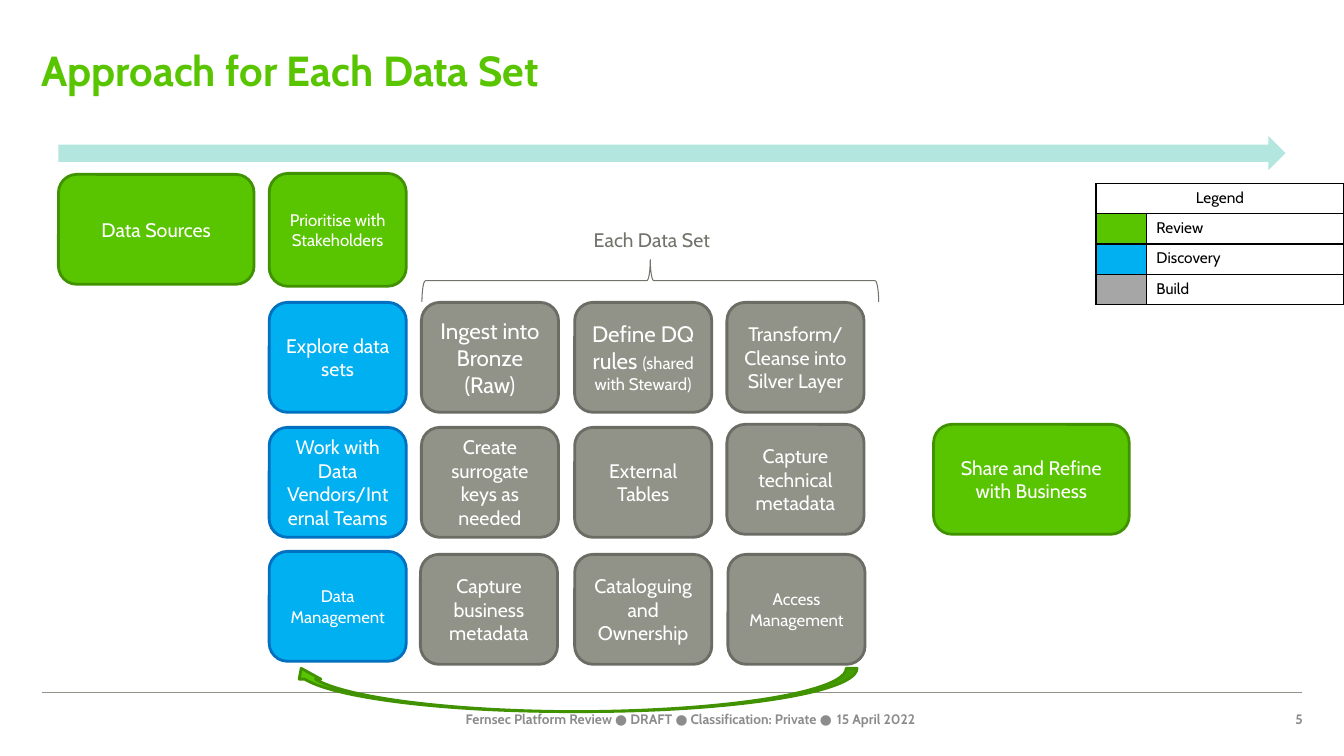
from lxml import etree
from pptx import Presentation
from pptx.dml.color import RGBColor
from pptx.enum.shapes import MSO_CONNECTOR, MSO_SHAPE
from pptx.enum.text import MSO_ANCHOR, PP_ALIGN
from pptx.oxml import parse_xml
from pptx.oxml.ns import nsdecls, qn
from pptx.util import Inches, Pt

ROUNDED = MSO_SHAPE.ROUNDED_RECTANGLE
LEFT, CENTER, RIGHT = PP_ALIGN.LEFT, PP_ALIGN.CENTER, PP_ALIGN.RIGHT
MIDDLE, TOP, BOTTOM = MSO_ANCHOR.MIDDLE, MSO_ANCHOR.TOP, MSO_ANCHOR.BOTTOM

WHITE = RGBColor(0xFF, 0xFF, 0xFF)
BLACK = RGBColor(0x00, 0x00, 0x00)
GREEN = RGBColor(0x58, 0xC5, 0x00)
DARK_GREEN = RGBColor(0x41, 0x92, 0x00)
BLUE = RGBColor(0x00, 0xB0, 0xF0)
DARK_BLUE = RGBColor(0x00, 0x70, 0xC0)
GRAY = RGBColor(0x91, 0x93, 0x88)
DARK_GRAY = RGBColor(0x6B, 0x6D, 0x65)
LEGEND_GRAY = RGBColor(0xA6, 0xA6, 0xA6)
TEXT_GRAY = RGBColor(0x73, 0x73, 0x6B)
FOOTER_GRAY = RGBColor(0x8C, 0x8C, 0x8C)
TEAL = RGBColor(0xB3, 0xE6, 0xDE)

REVIEW = (GREEN, DARK_GREEN)
DISCOVERY = (BLUE, DARK_BLUE)
BUILD = (GRAY, DARK_GRAY)


def write(frame, spans, color, align=LEFT, bold=False, spacing=None):
    para = frame.paragraphs[0]
    para.alignment = align
    if spacing:
        para.line_spacing = Pt(spacing)
    for text, size in spans:
        span = para.add_run()
        span.text = text
        style = {"name": "Cabin", "size": Pt(size), "bold": bold}
        for key, value in style.items():
            setattr(span.font, key, value)
        span.font.color.rgb = color


def draw(kind, place, fill, line, width=2):
    shape = page.shapes.add_shape(kind, *map(Inches, place))
    shape.shadow.inherit = False
    if fill is None:
        shape.fill.background()
    else:
        shape.fill.solid()
        shape.fill.fore_color.rgb = fill
    if line is None:
        shape.line.fill.background()
    else:
        shape.line.color.rgb = line
        shape.line.width = Pt(width)
    return shape


deck = Presentation()
deck.slide_width, deck.slide_height = Inches(13.33), Inches(7.5)
page = deck.slides.add_slide(deck.slide_layouts[6])

rule = page.shapes.add_connector(
    MSO_CONNECTOR.STRAIGHT, Inches(0.42), Inches(6.87), Inches(12.91), Inches(6.87))
rule.line.color.rgb = GRAY
rule.line.width = Pt(0.25)
etree.SubElement(rule._element.spPr, qn("a:effectLst"))

labels = [
    ((0.41, 0.47, 12.5, 0.47), "Approach for Each Data Set", 30, GREEN, LEFT, 32.7, BOTTOM),
    ((4.25, 7.05, 4, 0.16), "Fernsec Platform Review ● DRAFT ● Classification: Private ●",
     9.8, FOOTER_GRAY, RIGHT, 11.7, TOP),
    ((8.3, 7.05, 1.11, 0.16), "15 April 2022", 9.8, FOOTER_GRAY, LEFT, 11.7, TOP),
    ((12.5, 7.05, 0.42, 0.16), "5", 9.8, FOOTER_GRAY, RIGHT, 11.7, TOP),
]
for place, text, size, color, align, spacing, anchor in labels:
    frame = page.shapes.add_textbox(*map(Inches, place)).text_frame
    layout = {"word_wrap": True, "vertical_anchor": anchor, "margin_left": 0,
              "margin_right": 0, "margin_top": 0, "margin_bottom": 0}
    for key, value in layout.items():
        setattr(frame, key, value)
    write(frame, [(text, size)], color, align, True, spacing)

draw(MSO_SHAPE.RIGHT_ARROW, (0.58, 1.35, 12.17, 0.34), TEAL, None)

brace = draw(MSO_SHAPE.RIGHT_BRACE, (6.24, 0.52, 0.42, 4.53), None, TEXT_GRAY, 0.75)
brace.rotation = 270
caption = page.shapes.add_textbox(Inches(5.79), Inches(2.21), Inches(1.42), Inches(0.34))
caption.text_frame.word_wrap = False
write(caption.text_frame, [("Each Data Set", 14)], TEXT_GRAY)

loop_arrow = draw(MSO_SHAPE.CURVED_DOWN_ARROW, (2.88, 6.63, 5.62, 0.43), *REVIEW)
loop_arrow.rotation = 180

WIDE, NARROW, TALL = 1.94, 1.36, 1.09
cards = [
    (0.58, 1.73, WIDE, TALL, REVIEW, [("Data Sources", 14)]),
    (2.67, 1.72, NARROW, 1.12, REVIEW, [("Prioritise with Stakeholders", 12)]),
    (9.26, 4.21, WIDE, TALL, REVIEW, [("Share and Refine with Business", 14)]),
    (2.67, 3, NARROW, TALL, DISCOVERY, [("Explore data sets", 14)]),
    (2.67, 4.24, NARROW, TALL, DISCOVERY, [("Work with Data Vendors/Internal Teams", 14)]),
    (2.67, 5.47, NARROW, TALL, DISCOVERY, [("Data Management", 12)]),
    (4.18, 3, NARROW, TALL, BUILD, [("Ingest into Bronze (Raw)", 16)]),
    (5.7, 3, NARROW, TALL, BUILD, [("Define DQ rules ", 16), ("(shared with Steward)", 12)]),
    (7.21, 3, NARROW, TALL, BUILD, [("Transform/Cleanse into Silver Layer", 14)]),
    (4.18, 4.24, NARROW, TALL, BUILD, [("Create surrogate keys as needed", 14)]),
    (5.7, 4.24, NARROW, TALL, BUILD, [("External Tables", 14)]),
    (7.21, 4.21, NARROW, TALL, BUILD, [("Capture technical metadata", 14)]),
    (4.17, 5.5, NARROW, TALL, BUILD, [("Capture business metadata", 14)]),
    (5.7, 5.5, NARROW, TALL, BUILD, [("Cataloguing and Ownership", 14)]),
    (7.22, 5.5, NARROW, TALL, BUILD, [("Access Management", 12)]),
]
for left, top, width, height, palette, spans in cards:
    box = draw(ROUNDED, (left, top, width, height), *palette)
    box.text_frame.word_wrap = True
    box.text_frame.vertical_anchor = MIDDLE
    write(box.text_frame, spans, WHITE, CENTER)

legend_rows = [("Review", GREEN), ("Discovery", BLUE), ("Build", LEGEND_GRAY)]
legend = page.shapes.add_table(
    4, 2, Inches(10.87), Inches(1.82), Inches(2.46), Inches(1.21)).table
legend.first_row = legend.horz_banding = False
legend.columns[0].width, legend.columns[1].width = Inches(0.5), Inches(1.96)
for row in legend.rows:
    row.height = Inches(0.3)
    for cell in row.cells:
        cell.fill.background()
        cell.text_frame.paragraphs[0]._p.get_or_add_endParaRPr().set("sz", "1100")
        borders = cell._tc.get_or_add_tcPr()
        for position, side in enumerate(("lnL", "lnR", "lnT", "lnB")):
            borders.insert(position, parse_xml(
                f'<a:{side} {nsdecls("a")} w="12700"><a:solidFill>'
                f'<a:srgbClr val="{BLACK}"/></a:solidFill></a:{side}>'))
legend.cell(0, 0).merge(legend.cell(0, 1))
write(legend.cell(0, 0).text_frame, [("Legend", 11)], BLACK, CENTER)
for index, (phase, color) in enumerate(legend_rows, start=1):
    swatch = legend.cell(index, 0)
    swatch.fill.solid()
    swatch.fill.fore_color.rgb = color
    write(legend.cell(index, 1).text_frame, [(phase, 11)], BLACK)

deck.save("out.pptx")
